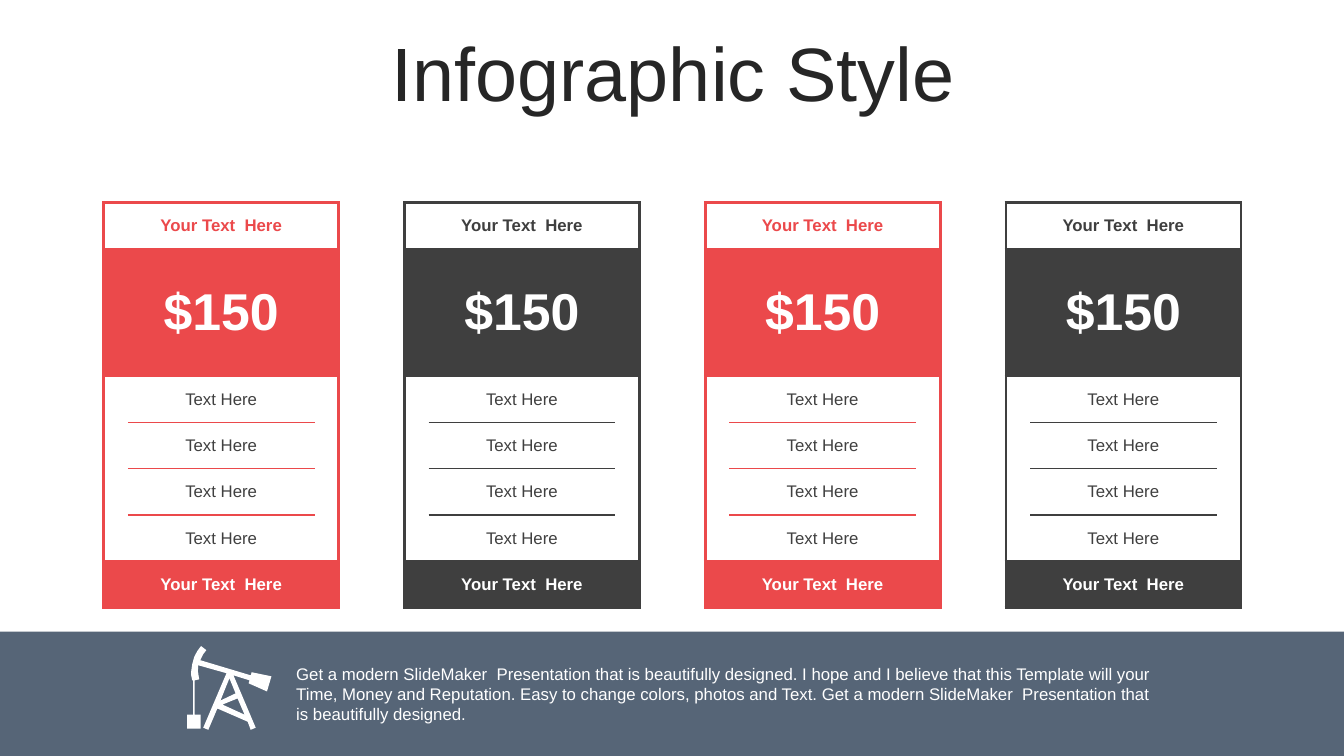
from dataclasses import dataclass

from lxml.etree import SubElement
from pptx import Presentation
from pptx.dml.color import RGBColor
from pptx.enum.shapes import MSO_SHAPE
from pptx.enum.text import MSO_ANCHOR, MSO_AUTO_SIZE, PP_ALIGN
from pptx.oxml import parse_xml
from pptx.oxml.ns import nsdecls, qn
from pptx.util import Pt


@dataclass(frozen=True)
class Theme:
    font: str = "Arial"
    red: str = "EB494B"
    dark: str = "3F3F3F"
    gray: str = "404040"
    ink: str = "262626"
    navy: str = "0F243E"
    white: str = "FFFFFF"
    head: float = 54
    price: float = 37
    body: float = 12
    thick: float = 2.25
    thin: float = 1


THEME = Theme()
HEAD = "Your Text  Here"
PRICE = "$150"
ITEM = "Text Here"
BLURB = (
    "Get a modern SlideMaker  Presentation that is beautifully designed. "
    "I hope and I believe that this Template will your Time, Money and Reputation. "
    "Easy to change colors, photos and Text. "
    "Get a modern SlideMaker  Presentation that is beautifully designed."
)
WIDTHS = [16.7, 133.4, 16.7]
HEIGHTS = [33.1, 90.8] + [33.1] * 5
FIRST, LAST = 2, 5

PUMP = [
    [
        (10, 0), (13.7, 2.9), (11.5, 5.8), (10.1, 8.6), (9.4, 10.1),
        (45.4, 20.9), (46.1, 18.7), (60.2, 21.6), (57, 32.4), (43.9, 26.6),
        (44.6, 24.5), (33.1, 20.9), (49, 58.3), (45.4, 59.8), (43.2, 54),
        (21.6, 44.6), (15.1, 59.8), (11.5, 58.3), (28.1, 19.4), (7.9, 13.7),
        (7.7, 18), (8.6, 23.8), (5.4, 24.5), (5.4, 49), (9.6, 49),
        (9.6, 59), (0, 59), (0, 49), (4.3, 49), (4.3, 24.5), (3.6, 24.5),
        (2.9, 20.9), (2.9, 18), (3.6, 13), (5, 7.9), (7.2, 3.6), (9.4, 0.7),
    ],
    [(25.2, 41.8), (41, 49), (36, 37.4)],
    [(30.2, 23), (23.8, 38.9), (34.6, 33.8)],
]


def rgb(code):
    return RGBColor.from_string(code)


def write(frame, text, size, color, bold=False, align=PP_ALIGN.LEFT):
    frame.text = text
    line = frame.paragraphs[0]
    line.alignment = align
    for run in line.runs:
        run.font.name = THEME.font
        run.font.size = Pt(size)
        run.font.bold = bold
        run.font.color.rgb = rgb(color)


def paint(shape, color):
    shape.shadow.inherit = False
    shape.fill.solid()
    shape.fill.fore_color.rgb = rgb(color)
    shape.line.fill.background()


def add_title(slide, text):
    title = slide.shapes.title
    title.left, title.top, title.width, title.height = Pt(25.2), Pt(26.6), Pt(911.5), Pt(56.9)
    frame = title.text_frame
    frame.auto_size = MSO_AUTO_SIZE.NONE
    frame.vertical_anchor = MSO_ANCHOR.MIDDLE
    write(frame, text, THEME.head, THEME.ink, align=PP_ALIGN.CENTER)
    frame.paragraphs[0].line_spacing = 0.9


def get_sides(row, col):
    thick, thin = THEME.thick, THEME.thin
    if not FIRST <= row <= LAST:
        return [thick] * 4
    inner = thin if col == 1 else 0
    return [
        thick if col == 0 else 0,
        thick if col == 2 else 0,
        thick if row == FIRST else inner,
        thick if row == LAST else inner,
    ]


def draw_sides(cell, color, sides):
    props = cell._tc.get_or_add_tcPr()
    for spot, (tag, width) in enumerate(zip(("lnL", "lnR", "lnT", "lnB"), sides)):
        line = parse_xml(f'<a:{tag} {nsdecls("a")} w="{Pt(width)}"/>')
        if width:
            fill = SubElement(line, qn("a:solidFill"))
            SubElement(fill, qn("a:srgbClr"), val=color)
        else:
            SubElement(line, qn("a:noFill"))
        props.insert(spot, line)


def add_plan(slide, left, color):
    frame = slide.shapes.add_table(
        len(HEIGHTS), len(WIDTHS), Pt(left), Pt(144.7), Pt(sum(WIDTHS)), Pt(sum(HEIGHTS))
    )
    table = frame.table
    table.first_row = table.horz_banding = False
    for col, width in zip(table.columns, WIDTHS):
        col.width = Pt(width)
    for row, height in zip(table.rows, HEIGHTS):
        row.height = Pt(height)

    white, size = THEME.white, THEME.body
    item = (ITEM, size, THEME.gray, False, white)
    rows = [
        (HEAD, size, color, True, white),
        (PRICE, THEME.price, white, True, color),
        *[item] * 4,
        (HEAD, size, white, True, color),
    ]
    for row, (text, size, ink, bold, back) in enumerate(rows):
        whole = not FIRST <= row <= LAST
        for col in range(len(WIDTHS)):
            cell = table.cell(row, col)
            cell.fill.solid()
            cell.fill.fore_color.rgb = rgb(back)
            draw_sides(cell, color, get_sides(row, col))
        if whole:
            table.cell(row, 0).merge(table.cell(row, 2))
        cell = table.cell(row, 0 if whole else 1)
        cell.vertical_anchor = MSO_ANCHOR.MIDDLE
        write(cell.text_frame, text, size, ink, bold, PP_ALIGN.CENTER)


def add_band(slide):
    band = slide.shapes.add_shape(MSO_SHAPE.RECTANGLE, Pt(0), Pt(451.2), Pt(960), Pt(88.8))
    paint(band, THEME.navy)
    tint = band._element.spPr.find(qn("a:solidFill"))[0]
    SubElement(tint, qn("a:alpha"), val="70000")


def add_blurb(slide, text):
    box = slide.shapes.add_textbox(Pt(204.5), Pt(470.2), Pt(632.2), Pt(51))
    frame = box.text_frame
    frame.word_wrap = True
    frame.auto_size = MSO_AUTO_SIZE.SHAPE_TO_FIT_TEXT
    write(frame, text, THEME.body, THEME.white)


def add_pump(slide, left, top):
    loops = [[(Pt(left + x), Pt(top + y)) for x, y in loop] for loop in PUMP]
    pen = slide.shapes.build_freeform(*loops[0][0])
    pen.add_line_segments(loops[0][1:], close=True)
    for loop in loops[1:]:
        pen.move_to(*loop[0])
        pen.add_line_segments(loop[1:], close=True)
    paint(pen.convert_to_shape(), THEME.white)


def main():
    deck = Presentation()
    deck.slide_width, deck.slide_height = Pt(960), Pt(540)
    slide = deck.slides.add_slide(deck.slide_layouts[5])
    add_title(slide, "Infographic Style")
    for spot, color in enumerate([THEME.red, THEME.dark] * 2):
        add_plan(slide, 74.1 + 214.8 * spot, color)
    add_band(slide)
    add_blurb(slide, BLURB)
    add_pump(slide, 133.7, 461.5)
    deck.save("out.pptx")


if __name__ == "__main__":
    main()
